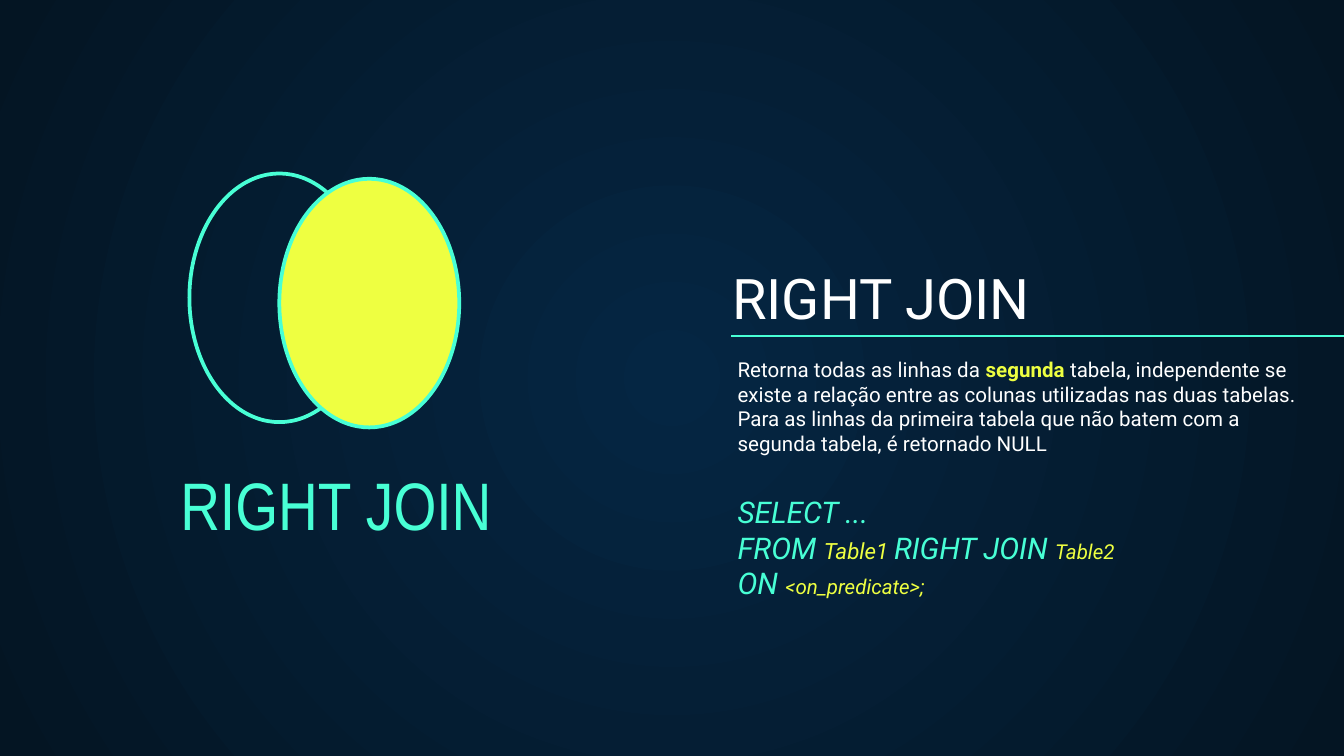
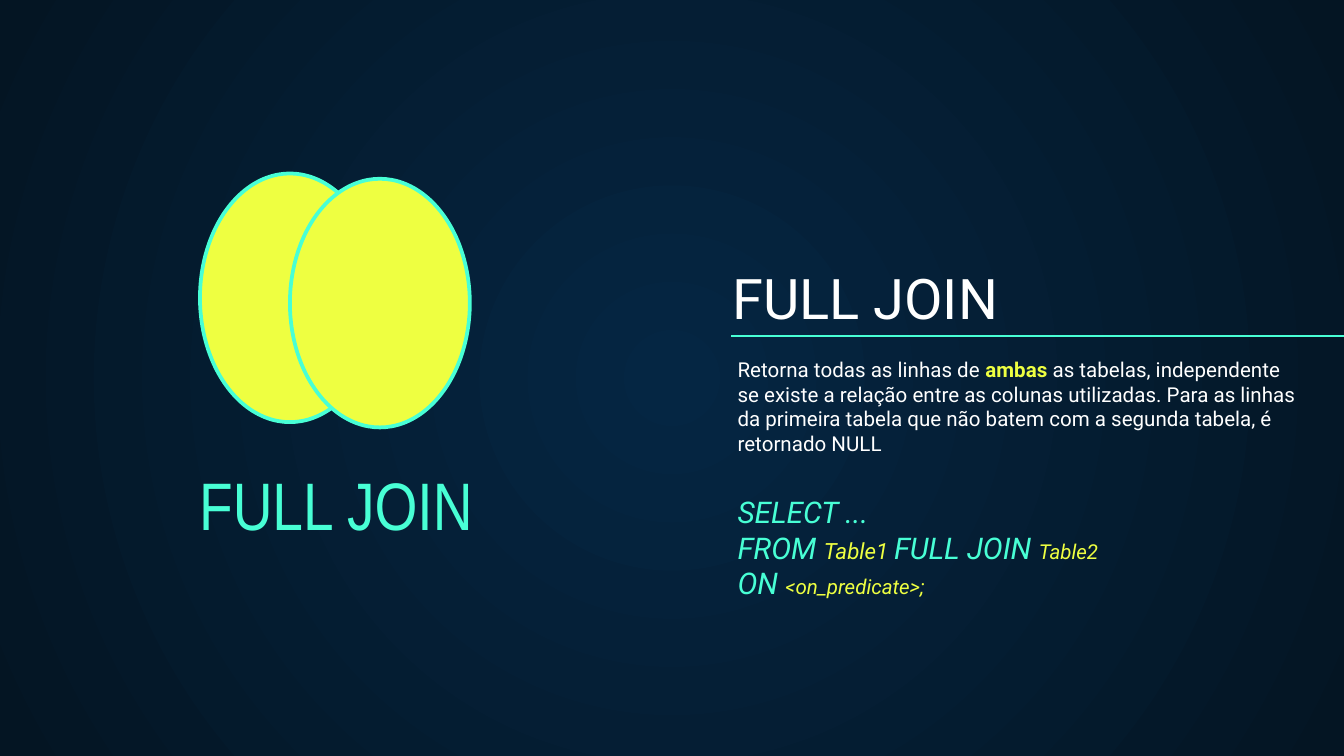
from dataclasses import dataclass

from lxml.etree import SubElement
from pptx import Presentation
from pptx.dml.color import RGBColor
from pptx.enum.shapes import MSO_CONNECTOR, MSO_SHAPE
from pptx.enum.text import MSO_ANCHOR, PP_ALIGN
from pptx.oxml.ns import qn
from pptx.util import Cm, Pt


@dataclass(frozen=True)
class Theme:
    """Colours, fonts and type sizes shared by the slides."""
    glow: str = "052643"
    night: str = "041523"
    white: str = "FFFFFF"
    aqua: str = "48FFD5"
    yellow: str = "EEFF41"
    font: str = "Roboto"
    label_font: str = "Arial Narrow"
    label: int = 36
    title: int = 30
    keyword: int = 16
    first_table: int = 12
    body: int = 11


@dataclass(frozen=True)
class Box:
    """A region of the slide in centimetres."""
    left: float
    top: float
    width: float
    height: float

    def inner(self, left, top, width, height):
        """Return a box placed relative to this one."""
        return Box(self.left + left, self.top + top, width, height)

    def lengths(self):
        """Return the four measures as slide lengths."""
        return [Cm(n) for n in (self.left, self.top, self.width, self.height)]


@dataclass(frozen=True)
class Join:
    """Content of one join slide."""
    name: str
    before: str
    emphasis: str
    after: str
    circles_left: float
    left_filled: bool


THEME = Theme()
PAGE = Box(0, 0, 25.4, 14.29)
JOINS = (
    Join("RIGHT JOIN", "Retorna todas as linhas da ", "segunda",
         " tabela, independente se existe a relação entre as colunas utilizadas "
         "nas duas tabelas. Para as linhas da primeira tabela que não batem com "
         "a segunda tabela, é retornado NULL", 3.58, False),
    Join("FULL JOIN", "Retorna todas as linhas de ", "ambas ",
         "as tabelas, independente se existe a relação entre as colunas "
         "utilizadas. Para as linhas da primeira tabela que não batem com a "
         "segunda tabela, é retornado NULL", 3.78, True),
)


def colour(value):
    """Turn a hex value into a colour."""
    return RGBColor.from_string(value)


def paint_background(page):
    """Fill the page with a glow that darkens outwards from the centre."""
    fill = page.background.fill
    fill.gradient()
    for stop, value, position in zip(fill.gradient_stops,
                                     (THEME.glow, THEME.night), (0, 1)):
        stop.color.rgb = colour(value)
        stop.position = position
    gradient = next(page.element.iter(qn("a:gradFill")))
    gradient.remove(gradient.find(qn("a:lin")))
    radial = SubElement(gradient, qn("a:path"), path="circle")
    SubElement(radial, qn("a:fillToRect"),
               {side: "50000" for side in ("l", "t", "r", "b")})


def add_span(para, text, size, value, font=THEME.font, bold=False, italic=False):
    """Append one formatted run to a paragraph."""
    span = para.add_run()
    span.text = text
    span.font.name = font
    span.font.size = Pt(size)
    span.font.bold = bold
    span.font.italic = italic
    span.font.color.rgb = colour(value)


def add_text(page, box, lines, anchor=MSO_ANCHOR.BOTTOM, align=PP_ALIGN.LEFT,
             **style):
    """Add a text box whose lines are lists of text, size and colour."""
    frame = page.shapes.add_textbox(*box.lengths()).text_frame
    frame.word_wrap = True
    frame.vertical_anchor = anchor
    frame.margin_left = frame.margin_right = Cm(0.25)
    frame.margin_top = frame.margin_bottom = Cm(0.25)
    for index, line in enumerate(lines):
        para = frame.add_paragraph() if index else frame.paragraphs[0]
        para.alignment = align
        for text, size, value, *bold in line:
            add_span(para, text, size, value, bold=bool(bold), **style)


def add_rule(page, box):
    """Draw the thin line along the top edge of a box."""
    rule = page.shapes.add_connector(
        MSO_CONNECTOR.STRAIGHT, Cm(box.left), Cm(box.top),
        Cm(box.left + box.width), Cm(box.top))
    rule.line.color.rgb = colour(THEME.aqua)
    rule.line.width = Pt(0.75)
    SubElement(rule.element.spPr, qn("a:effectLst"))


def add_circle(page, box, filled):
    """Draw one table of the join diagram."""
    circle = page.shapes.add_shape(MSO_SHAPE.OVAL, *box.lengths())
    circle.shadow.inherit = False
    circle.line.color.rgb = colour(THEME.aqua)
    circle.line.width = Pt(2)
    if filled:
        circle.fill.solid()
        circle.fill.fore_color.rgb = colour(THEME.yellow)
    else:
        circle.fill.background()


def draw_diagram(page, box, join):
    """Place the two overlapping tables and their label."""
    add_text(page, box.inner(0, 5.58, 6.86, 1.68),
             [[(join.name, THEME.label, THEME.aqua)]],
             align=PP_ALIGN.CENTER, font=THEME.label_font)
    shift = join.circles_left - box.left
    for index, filled in enumerate((join.left_filled, True)):
        add_circle(page, box.inner(shift + 1.7 * index, 0.1 * index, 3.4, 4.7),
                   filled)


def write_explanation(page, box, join):
    """Place the title, rule, description and syntax."""
    add_text(page, box.inner(0, 0, 9.8, 1.68),
             [[(join.name, THEME.title, THEME.white)]])
    add_rule(page, box.inner(0.23, 1.52, box.width - 0.23, 0))
    add_text(page, box.inner(0.1, 1.67, 11.15, 2.74),
             [[(join.before, THEME.body, THEME.white),
               (join.emphasis, THEME.body, THEME.yellow, True),
               (join.after, THEME.body, THEME.white)]],
             anchor=MSO_ANCHOR.TOP)
    add_text(page, box.inner(0.1, 4.19, 9.98, 2.59),
             [[("SELECT ...", THEME.keyword, THEME.aqua)],
              [("FROM ", THEME.keyword, THEME.aqua),
               ("Table1 ", THEME.first_table, THEME.yellow),
               (f"{join.name} ", THEME.keyword, THEME.aqua),
               ("Table2", THEME.body, THEME.yellow)],
              [("ON ", THEME.keyword, THEME.aqua),
               ("<on_predicate>;", THEME.body, THEME.yellow)]],
             italic=True)


def build_join(deck, join):
    """Add one join slide to the deck."""
    page = deck.slides.add_slide(deck.slide_layouts[6])
    paint_background(page)
    write_explanation(page, PAGE.inner(13.59, 4.83, PAGE.width - 13.59, 6.78), join)
    draw_diagram(page, PAGE.inner(2.92, 3.28, 6.86, 7.26), join)


def main():
    """Build and save the deck."""
    deck = Presentation()
    deck.slide_width, deck.slide_height = PAGE.lengths()[2:]
    for join in JOINS:
        build_join(deck, join)
    deck.save("out.pptx")


if __name__ == "__main__":
    main()
